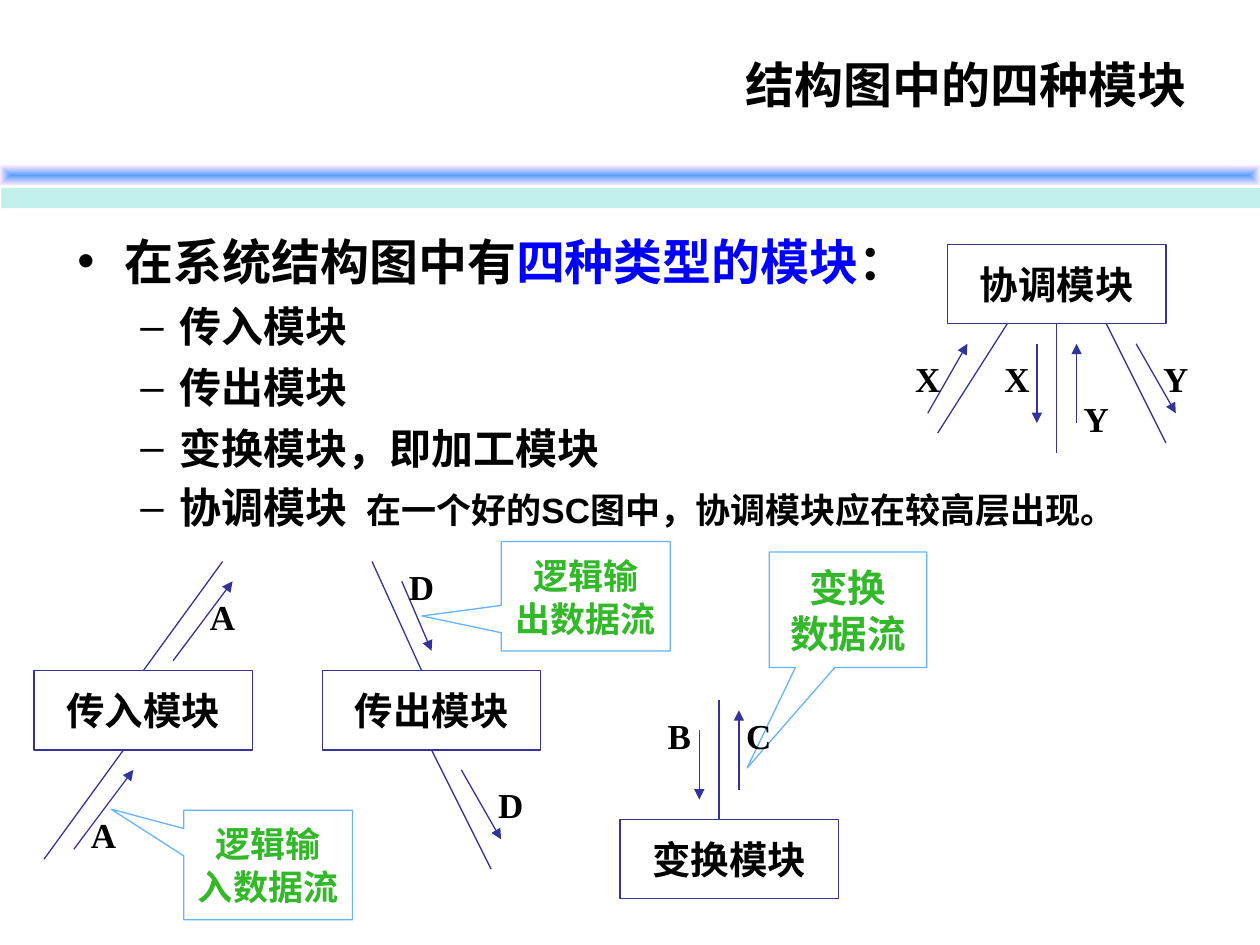
from lxml import etree
from pptx import Presentation
from pptx import util as u
from pptx.dml.color import RGBColor
from pptx.enum import shapes, text
from pptx.oxml.ns import qn

Pt = u.Pt
HUE = {"ink": "000000", "key": "0000FE", "note": "32B828", "edge": "333399",
       "call": "66B2FE", "paper": "FFFFFF", "bar": "5E9EFF", "rim": "FFEBFA",
       "shade": "84E2D9"}
CJK = "Noto Sans CJK SC"

TITLE = "结构图中的四种模块"
LEAD = [("在系统结构图中有", "ink"), ("四种类型的模块", "key"), ("：", "ink")]
ITEMS = ["传入模块", "传出模块", "变换模块，即加工模块"]
LAST = ("协调模块", "在一个好的SC图中，协调模块应在较高层出现。")

# Left, top, width, height, size, pointer offsets, lines of text
CALLS = [
    (105, 463, 96.5, 62.5, 20, (-0.93, -0.51), ["逻辑输", "入数据流"]),
    (286.5, 309.5, 96.5, 62.5, 20, (-0.97, 0.18), ["逻辑输", "出数据流"]),
    (439.5, 315.5, 90, 66, 22, (-0.64, 1.37), ["变换", "数据流"]),
]

# Lines, arrows and labels are in grid steps from the module's top left corner
STEP = 5.67
BOX = (22, 8)
TAG = (6, 5)
MODS = [
    dict(name="传入模块", at=(19.5, 383.25),
         lines=[(11, 0, 19, -11), (1, 19, 9, 8)],
         flows=[(4, 18, 10, 10), (14, -1, 20, -9)],
         tags=[("A", 16, -8), ("A", 4, 14)]),
    dict(name="传出模块", at=(184.25, 383.25),
         lines=[(10, 0, 5, -11), (17, 20, 11, 8)],
         flows=[(14, 10, 18, 17), (8, -9, 11, -2)],
         tags=[("D", 7, -11), ("D", 16, 11)]),
    dict(name="变换模块", at=(354.25, 468.25),
         lines=[(10, 0, 10, -12)],
         flows=[(12, -3, 12, -11), (8, -9, 8, -2)],
         tags=[("B", 3, -11), ("C", 11, -11)]),
    dict(name="协调模块", at=(541.5, 139.75),
         lines=[(11, 8, 11, 21), (16, 8, 22, 20), (6, 8, -1, 19)],
         flows=[(19, 10, 23, 17), (9, 10, 9, 18), (13, 18, 13, 10),
                (-2, 17, 2, 10)],
         tags=[("Y", 12, 15), ("Y", 20, 11), ("X", -5, 11), ("X", 4, 11)]),
]


def rgb(key):
    return RGBColor.from_string(HUE[key])


def sub(node, tag, **attrs):
    return etree.SubElement(node, qn(tag), attrs)


def write(para, words, size=20, hue="ink", font="Arial", align=None,
          lead=None, before=0):
    """Add a bold run and format its paragraph; lead is a factor of size."""
    run = para.add_run()
    run.text = words
    run.font.size, run.font.bold, run.font.name = Pt(size), True, font
    run.font.color.rgb = rgb(hue)
    sub(run.font._element, "a:ea", typeface=CJK)
    para.space_before = Pt(before)
    if align:
        para.alignment = align
    if lead:
        para.line_spacing = Pt(round(size * lead, 1))


def place(shape, left, top, wide, high):
    shape.left, shape.top = Pt(left), Pt(top)
    shape.width, shape.height = Pt(wide), Pt(high)


def center(shape, rows, wrap=False, **fmt):
    frame = shape.text_frame
    frame.word_wrap = wrap
    frame.vertical_anchor = text.MSO_ANCHOR.MIDDLE
    for i, row in enumerate(rows):
        para = frame.add_paragraph() if i else frame.paragraphs[0]
        write(para, row, align=text.PP_ALIGN.CENTER, **fmt)


def draw(pool, kind, rect, line=None, fill=None):
    shape = pool.add_shape(kind, *map(Pt, rect))
    shape.shadow.inherit = False
    if fill:
        shape.fill.solid()
        shape.fill.fore_color.rgb = rgb(fill)
    else:
        shape.fill.background()
    if line:
        shape.line.color.rgb = rgb(line)
        shape.line.width = Pt(0.75)
    else:
        shape.line.fill.background()
    return shape


def link(pool, ends, arrow=False):
    line = pool.add_connector(shapes.MSO_CONNECTOR.STRAIGHT, *map(Pt, ends))
    line.line.color.rgb = rgb("edge")
    line.line.width = Pt(0.75)
    if arrow:
        sub(line.line._get_or_add_ln(), "a:tailEnd", type="triangle")
    sub(line._element.spPr, "a:effectLst")
    return line


def band(pool):
    """Draw the header bar: a rectangular gradient with a solid drop shadow."""
    bar = draw(pool, shapes.MSO_SHAPE.RECTANGLE, (0, 94.5, 720, 11.5))
    props = bar._element.spPr
    grad = etree.Element(qn("a:gradFill"), rotWithShape="1")
    stops = sub(grad, "a:gsLst")
    for pos, key in (("0", "bar"), ("100000", "rim")):
        sub(sub(stops, "a:gs", pos=pos), "a:srgbClr", val=HUE[key])
    mid = dict.fromkeys("ltrb", "50000")
    sub(sub(grad, "a:path", path="rect"), "a:fillToRect", **mid)
    props.replace(props.find(qn("a:noFill")), grad)
    drop = sub(props.find(qn("a:effectLst")), "a:outerShdw", blurRad="0",
               dist=str(Pt(13)), dir=str(86 * 60000), algn="ctr",
               rotWithShape="0")
    sub(sub(drop, "a:srgbClr", val=HUE["shade"]), "a:alpha", val="50000")


def module(pool, name, at, lines, flows, tags):
    group = pool.add_group_shape().shapes

    def grid(*steps):
        return [at[i % 2] + s * STEP for i, s in enumerate(steps)]

    def cell(x, y, size):
        return grid(x, y) + [n * STEP for n in size]

    box = draw(group, shapes.MSO_SHAPE.RECTANGLE, cell(0, 0, BOX),
               line="edge", fill="paper")
    center(box, [name], size=22, font="Times New Roman")
    for ends in lines:
        line = link(group, grid(*ends))
        if ends[:2] == (BOX[0] / 2, BOX[1]):
            line.begin_connect(box, 2)
        elif ends[:2] == (BOX[0] / 2, 0):
            line.begin_connect(box, 0)
        elif ends[2:] == (BOX[0] / 2, BOX[1]):
            line.end_connect(box, 2)
    for ends in flows:
        link(group, grid(*ends), arrow=True)
    for word, x, y in tags:
        tag = group.add_textbox(*map(Pt, cell(x, y, TAG)))
        center(tag, [word], font="Times New Roman")


def body(holder):
    place(holder, 37, 128.5, 624, 357)
    frame = holder.text_frame
    frame.auto_size = text.MSO_AUTO_SIZE.NONE
    frame.vertical_anchor = text.MSO_ANCHOR.TOP

    def indent(para, left, hang):
        props = para._p.get_or_add_pPr()
        props.set("marL", str(Pt(left)))
        props.set("indent", str(-Pt(hang)))
        return props

    para = frame.paragraphs[0]
    indent(para, 27, 27)
    for words, hue in LEAD:
        write(para, words, size=28, hue=hue, lead=1.2)
    for words in ITEMS + [LAST[0]]:
        para = frame.add_paragraph()
        para.level = 1
        props = indent(para, 58.5, 22.5)
        write(para, words, size=24, lead=1.2,
              before=5 if words == LAST[0] else 6)
    sub(sub(props, "a:tabLst"), "a:tab", pos=str(Pt(165)), algn="l")
    write(para, "\t" + LAST[1], size=20, lead=1.44, before=5)


def main():
    deck = Presentation()
    deck.slide_width, deck.slide_height = Pt(720), Pt(540)
    slide = deck.slides.add_slide(deck.slide_layouts[1])
    pool = slide.shapes
    head = pool.title
    place(head, 37, 27.5, 648, 41)
    head.text_frame.auto_size = text.MSO_AUTO_SIZE.NONE
    head.text_frame.vertical_anchor = text.MSO_ANCHOR.MIDDLE
    write(head.text_frame.paragraphs[0], TITLE, size=28,
          align=text.PP_ALIGN.RIGHT)
    band(pool)
    body(slide.placeholders[1])
    for *rect, size, tip, rows in CALLS:
        call = draw(pool, shapes.MSO_SHAPE.RECTANGULAR_CALLOUT, rect,
                    line="call")
        call.adjustments[0], call.adjustments[1] = tip
        center(call, rows, wrap=True, size=size, hue="note", font=CJK,
               lead=1.22)
    for mod in MODS:
        module(pool, **mod)
    deck.save("out.pptx")


if __name__ == "__main__":
    main()
